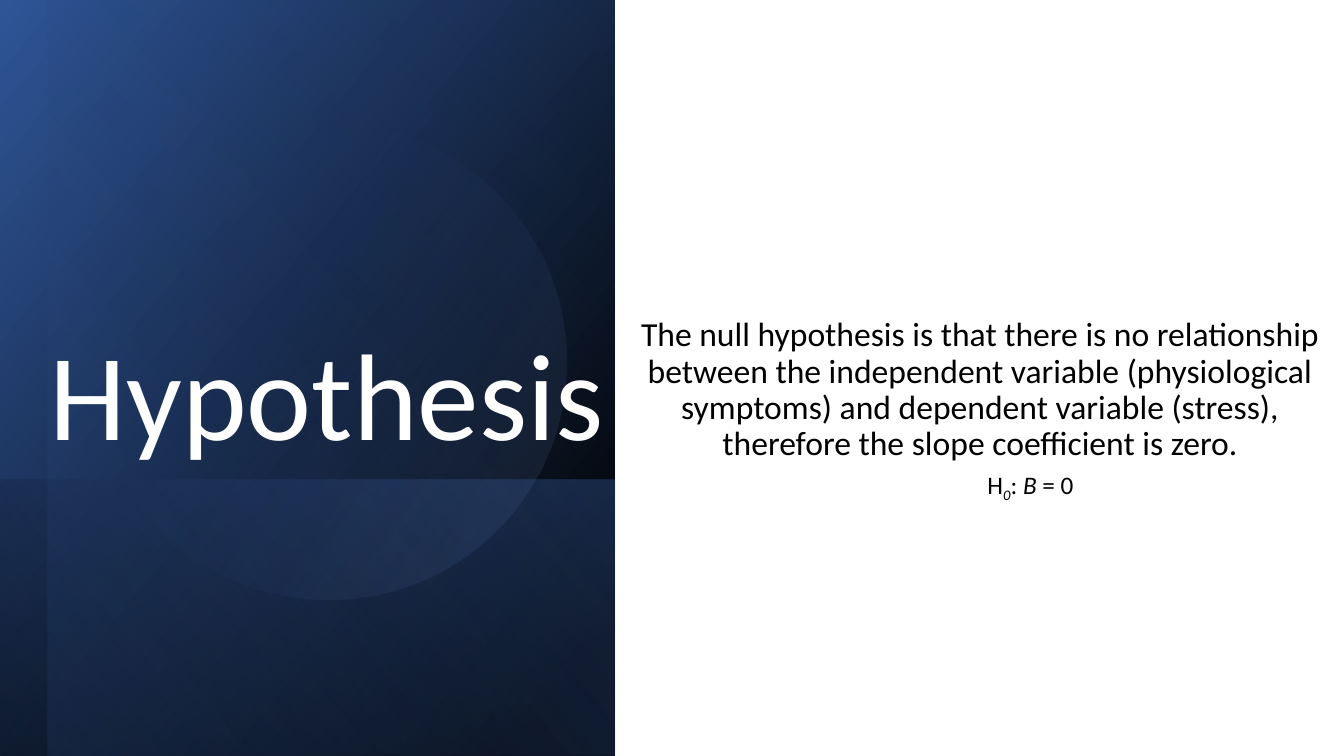
from lxml import etree
from pptx import Presentation
from pptx.dml.color import RGBColor
from pptx.enum import shapes, text
from pptx.oxml import ns
from pptx.util import Inches, Pt

TITLE = "Hypothesis"
NULL_HYPOTHESIS = (
    "The null hypothesis is that there is no relationship between the "
    "independent variable (physiological symptoms) and dependent variable "
    "(stress), therefore the slope coefficient is zero."
)
FORMULA = [
    ("H", False, None),
    ("0", True, "-25000"),
    (": ", False, None),
    ("B", True, None),
    (" = 0", False, None),
]
RECTANGLE = shapes.MSO_SHAPE.RECTANGLE
OVAL = shapes.MSO_SHAPE.OVAL
PANELS = [
    (RECTANGLE, (-0.7, 0.7, 7.5, 6.1), 90, True, 50,
     [(8, "000000", 100), (100, "2F5597", 100)]),
    (RECTANGLE, (1.67, 3.08, 2.74, 6.1), 90, True, 130,
     [(2, "4472C4", 29), (100, "000000", 30)]),
    (RECTANGLE, (-0.46, 0.93, 7.5, 5.63), 90, True, 130,
     [(0, "000000", 0), (99, "4472C4", 11)]),
    (OVAL, (0.9, 1.23, 4.72, 4.72), 101.6, False, 290,
     [(39, "4472C4", 0), (100, "8FAADC", 15)]),
]
TITLE_BOX = (-0.02, 1.6, 6.11, 4.3)
BODY_BOX = (6.11, 0, 7.22, 7.5)


def inches(box):
    return [Inches(value) for value in box]


def color(value):
    return RGBColor.from_string(value)


def apply(target, **values):
    for name, value in values.items():
        setattr(target, name, value)


def add_child(parent, tag, **attributes):
    return etree.SubElement(parent, ns.qn(tag), attributes)


def fill_gradient(shape, angle, stops):
    gradient = etree.Element(ns.qn("a:gradFill"), rotWithShape="1")
    stop_list = add_child(gradient, "a:gsLst")
    for position, value, opacity in stops:
        stop = add_child(stop_list, "a:gs", pos=str(position * 1000))
        tint = add_child(stop, "a:srgbClr", val=value)
        if opacity < 100:
            add_child(tint, "a:alpha", val=str(opacity * 1000))
    add_child(gradient, "a:lin", ang=str(angle * 60000), scaled="0")
    shape.element.spPr.find(ns.qn("a:prstGeom")).addnext(gradient)


def add_panel(slide, preset, box, rotation, flipped, angle, stops):
    shape = slide.shapes.add_shape(preset, *inches(box))
    shape.rotation = rotation
    if flipped:
        shape.element.spPr.find(ns.qn("a:xfrm")).set("flipH", "1")
    fill_gradient(shape, angle, stops)
    shape.line.fill.background()
    shape.shadow.inherit = False


def add_run(paragraph, wording, size, value, italic=False):
    run = paragraph.add_run()
    run.text = wording
    apply(run.font, name="Calibri", size=Pt(size), italic=italic)
    run.font.color.rgb = color(value)
    return run


def set_title(slide):
    title = slide.shapes.title
    title.element.getparent().append(title.element)
    apply(title, **dict(zip(("left", "top", "width", "height"), inches(TITLE_BOX))))
    frame = title.text_frame
    apply(frame, word_wrap=True, auto_size=text.MSO_AUTO_SIZE.NONE,
          vertical_anchor=text.MSO_ANCHOR.BOTTOM, margin_bottom=Inches(1.27))
    paragraph = frame.paragraphs[0]
    apply(paragraph, alignment=text.PP_ALIGN.RIGHT, line_spacing=0.9)
    add_run(paragraph, TITLE, 88, "FFFFFF")


def add_body(slide):
    frame = slide.shapes.add_textbox(*inches(BODY_BOX)).text_frame
    apply(frame, word_wrap=True, vertical_anchor=text.MSO_ANCHOR.MIDDLE,
          margin_top=Inches(0.67))
    statement = frame.paragraphs[0]
    formula = frame.add_paragraph()
    for paragraph in (statement, formula):
        apply(paragraph, alignment=text.PP_ALIGN.CENTER, line_spacing=0.9)
    add_run(statement, NULL_HYPOTHESIS, 24, "000000")
    apply(formula, level=1, space_before=Pt(5))
    properties = formula._p.get_or_add_pPr()
    properties.set("marL", str(Inches(1)))
    properties.set("indent", "0")
    for wording, italic, baseline in FORMULA:
        run = add_run(formula, wording, 18, "000000", italic)
        if baseline:
            run._r.get_or_add_rPr().set("baseline", baseline)


def main():
    presentation = Presentation()
    apply(presentation, slide_width=Inches(13.33), slide_height=Inches(7.5))
    slide = presentation.slides.add_slide(presentation.slide_layouts[5])
    for panel in PANELS:
        add_panel(slide, *panel)
    set_title(slide)
    add_body(slide)
    presentation.save("out.pptx")


if __name__ == "__main__":
    main()
